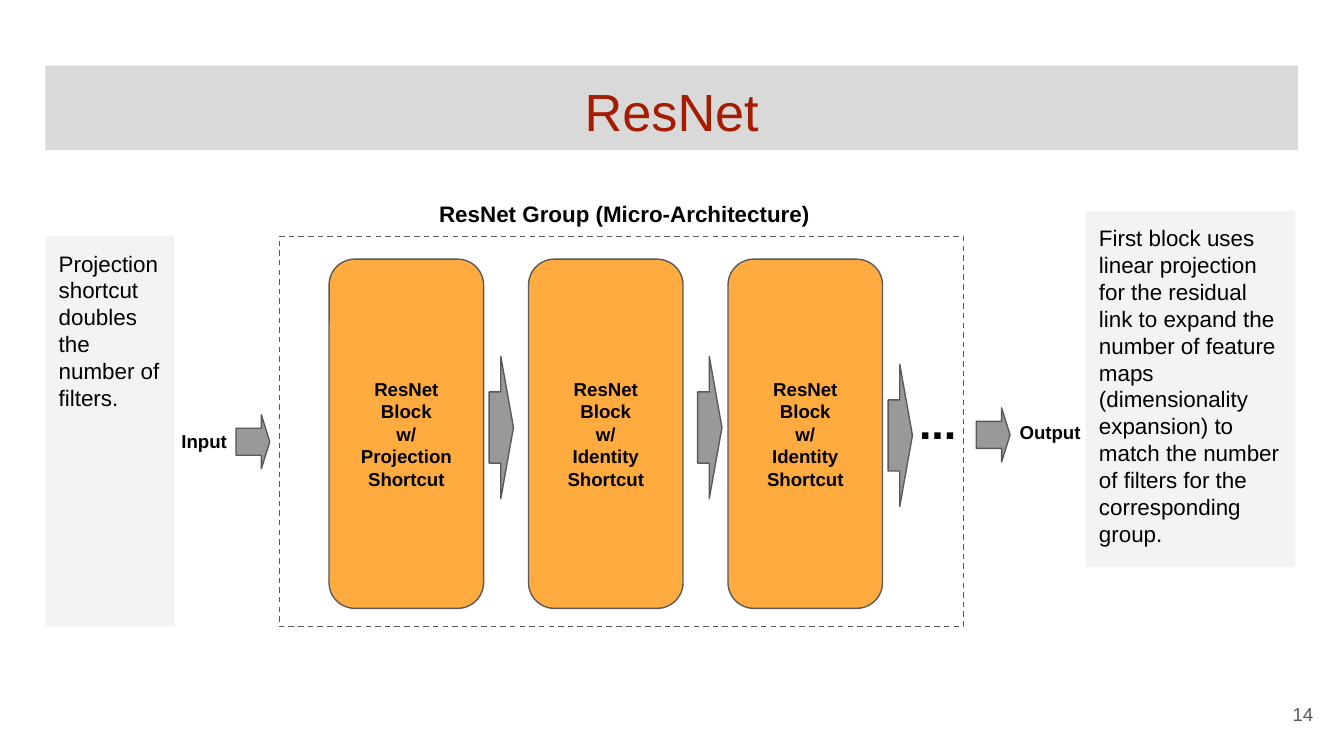
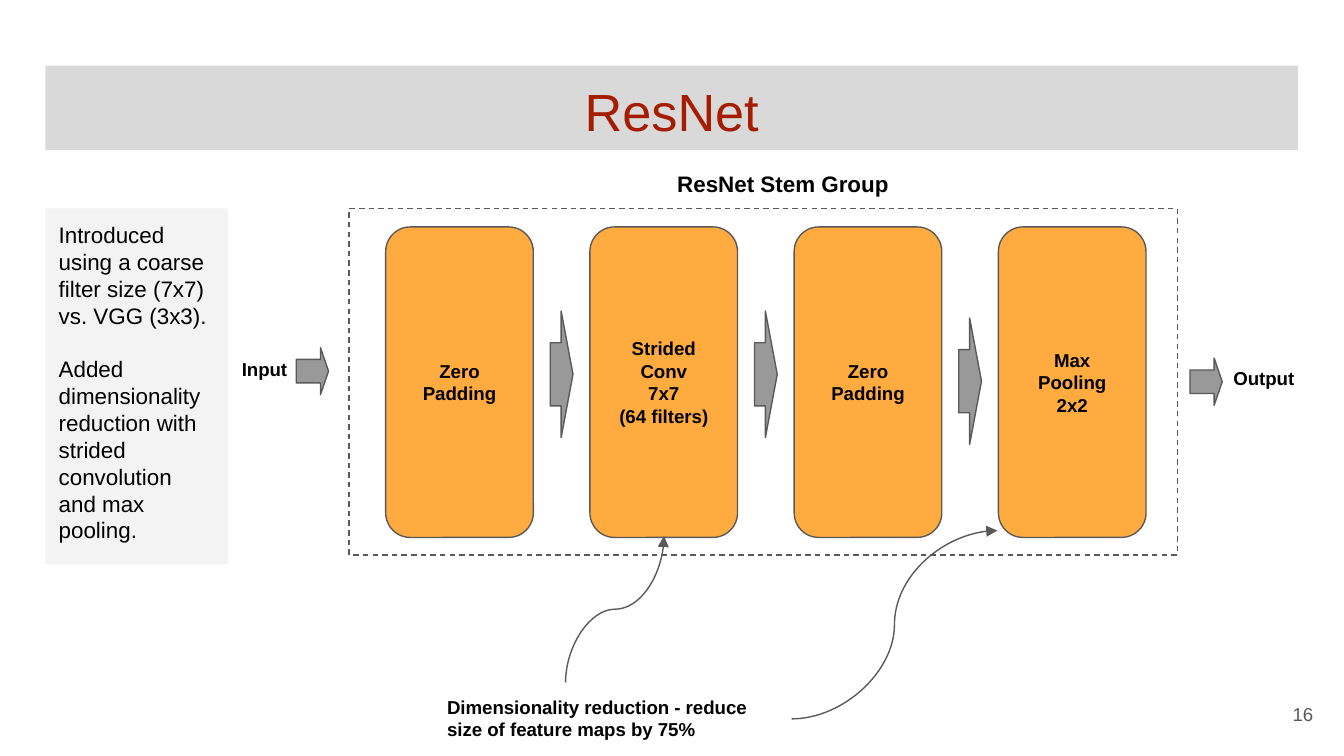
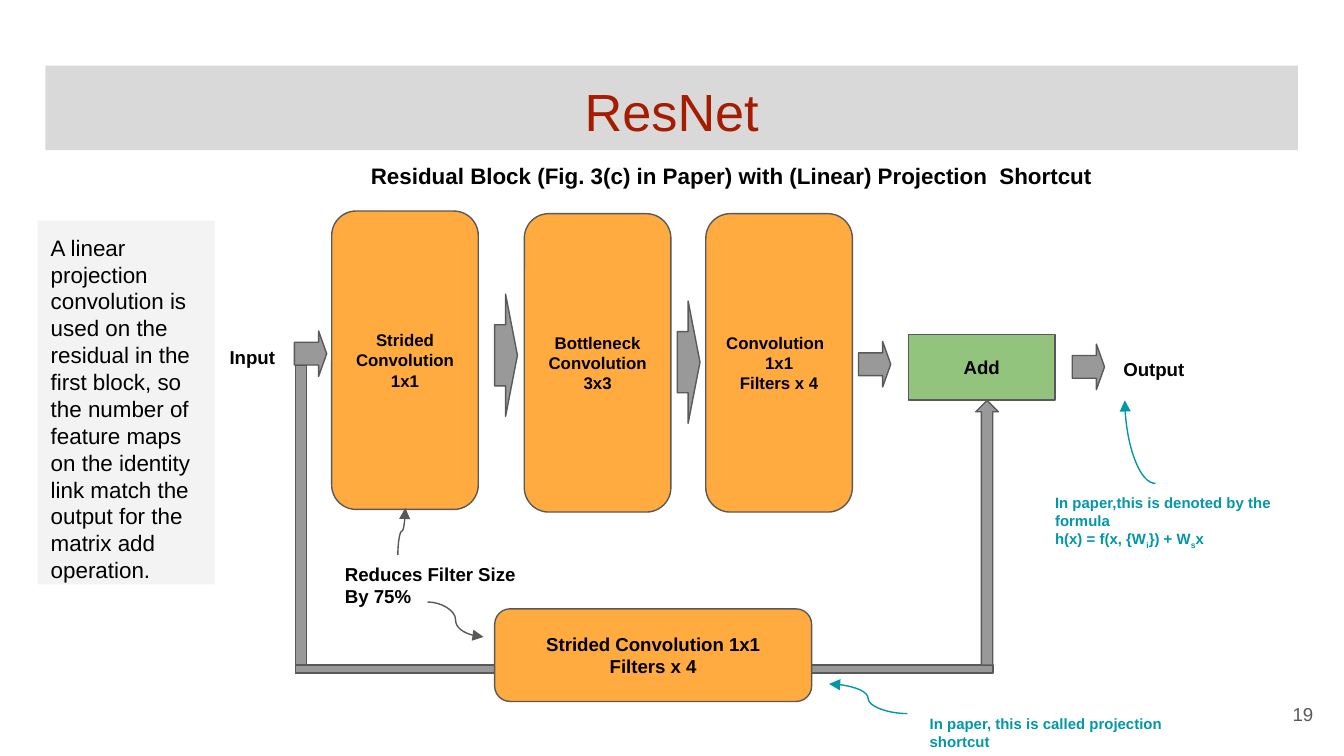
"""Build three slides that explain the ResNet architecture."""
from dataclasses import dataclass

from lxml import etree
from pptx import Presentation
from pptx import util as u
from pptx.dml import color as c
from pptx.enum import dml as d, shapes as s, text as t
from pptx.oxml import ns


@dataclass(frozen=True)
class Theme:
    font: str = "Arial"
    black: str = "000000"
    title: str = "A61C00"
    band: str = "D9D9D9"
    panel: str = "F3F3F3"
    outline: str = "595959"
    block: str = "FFAB40"
    arrow: str = "999999"
    add: str = "93C47D"
    remark: str = "0097A7"
    title_size: int = 28
    dots_size: int = 24
    body_size: int = 12
    label_size: int = 10
    tight_size: int = 9
    remark_size: int = 8


theme = Theme()
SHAPE, ALIGN, ANCHOR = s.MSO_SHAPE, t.PP_ALIGN, t.MSO_ANCHOR


def add_box(page, text, left, top, width, height, *, kind=None, fill=None, line=None,
            dash=False, size=theme.body_size, ink=theme.black, bold=False,
            align=ALIGN.LEFT, anchor=ANCHOR.TOP, gap=0, turn=0, adjust=()):
    place = [u.Cm(value) for value in (left, top, width, height)]
    box = page.shapes.add_shape(kind, *place) if kind else page.shapes.add_textbox(*place)
    box.shadow.inherit = False
    box.rotation = turn
    for index, value in enumerate(adjust):
        box.adjustments[index] = value
    if fill:
        box.fill.solid()
        box.fill.fore_color.rgb = c.RGBColor.from_string(fill)
    else:
        box.fill.background()
    if line:
        box.line.color.rgb = c.RGBColor.from_string(line)
        box.line.width = u.Pt(0.75)
        if dash:
            box.line.dash_style = d.MSO_LINE.DASH
    else:
        box.line.fill.background()
    if not text:
        return box
    frame = box.text_frame
    frame.word_wrap = True
    frame.vertical_anchor = anchor
    frame.margin_left = frame.margin_right = frame.margin_top = frame.margin_bottom = u.Cm(0.25)
    for row, words in enumerate(text.split("\n")):
        para = frame.add_paragraph() if row else frame.paragraphs[0]
        para.alignment = align
        if row and gap:
            para.space_before = u.Pt(gap)
        for index, piece in enumerate(words.split("|")):
            span = para.add_run()
            span.text = piece
            span.font.name, span.font.size, span.font.bold = theme.font, u.Pt(size), bold
            span.font.color.rgb = c.RGBColor.from_string(ink)
            if index % 2:
                span._r.get_or_add_rPr().set("baseline", "-25000")
    return box


def add_curve(page, x1, y1, x2, y2, *, ink=theme.outline, upright=False, quarter=False):
    ends = (x1, y1, x2, y2)
    if upright:
        mid_x, mid_y = (x1 + x2) / 2, (y1 + y2) / 2
        half_x, half_y = (x2 - x1) / 2, (y2 - y1) / 2
        ends = (mid_x + half_y, mid_y - half_x, mid_x - half_y, mid_y + half_x)
    curve = page.shapes.add_connector(s.MSO_CONNECTOR.CURVE, *[u.Cm(end) for end in ends])
    curve.line.color.rgb = c.RGBColor.from_string(ink)
    curve.line.width = u.Pt(0.75)
    etree.SubElement(curve.line._get_or_add_ln(), ns.qn("a:tailEnd"), type="triangle")
    outline = curve._element.spPr
    etree.SubElement(outline, ns.qn("a:effectLst"))
    if upright:
        outline.find(ns.qn("a:xfrm")).set("rot", "16200000")
    if quarter:
        outline.find(ns.qn("a:prstGeom")).set("prst", "curvedConnector2")


centred = dict(align=ALIGN.CENTER, anchor=ANCHOR.MIDDLE, bold=True, line=theme.outline)
block = dict(centred, kind=SHAPE.ROUNDED_RECTANGLE, fill=theme.block, size=theme.label_size)
pipe = dict(fill=theme.arrow, line=theme.outline)
wide_arrow = dict(pipe, kind=SHAPE.DOWN_ARROW, turn=270, adjust=(0.5, 0.52))
small_arrow = dict(wide_arrow, adjust=(0.5, 0.25))
group = dict(kind=SHAPE.RECTANGLE, line=theme.outline, dash=True)
panel = dict(kind=SHAPE.RECTANGLE, fill=theme.panel)
heading = dict(bold=True)
label = dict(bold=True, size=theme.label_size)
remark = dict(bold=True, size=theme.remark_size, ink=theme.remark)

deck = Presentation()
deck.slide_width, deck.slide_height = u.Cm(25.4), u.Cm(14.29)
pages = []
for number in ("14", "16", "19"):
    page = deck.slides.add_slide(deck.slide_layouts[6])
    add_box(page, "ResNet", 0.86, 1.24, 23.67, 1.6, kind=SHAPE.RECTANGLE, fill=theme.band,
            size=theme.title_size, ink=theme.title, align=ALIGN.CENTER)
    add_box(page, number, 23.55, 12.95, 1.52, 1.09, size=theme.label_size, ink=theme.outline,
            align=ALIGN.RIGHT, anchor=ANCHOR.MIDDLE)
    pages.append(page)
group_page, stem_page, block_page = pages

add_box(group_page, "First block uses linear projection for the residual link to expand the "
        "number of feature maps (dimensionality expansion) to match the number of filters "
        "for the corresponding group.", 20.52, 3.99, 3.96, 6.73, **panel)
add_box(group_page, "Projection shortcut doubles the number of filters.",
        0.86, 4.47, 2.44, 7.37, **panel)
add_box(group_page, "ResNet Group (Micro-Architecture)", 8.05, 3.53, 11.28, 1.09, **heading)
add_box(group_page, "", 5.28, 4.47, 12.93, 7.37, **group)
for index, shortcut in enumerate(("Projection", "Identity", "Identity")):
    add_box(group_page, f"ResNet\nBlock\nw/\n{shortcut}\nShortcut",
            6.22 + 3.77 * index, 4.9, 2.92, 6.6, **block)
for left, top in ((8.13, 7.85), (12.07, 7.85), (15.67, 8)):
    add_box(group_page, "", left, top, 2.69, 0.46, **wide_arrow)
add_box(group_page, "...", 17.12, 7.21, 1.55, 1.37, bold=True, size=theme.dots_size)
for left, top in ((4.27, 8.03), (18.26, 7.9)):
    add_box(group_page, "", left, top, 1.02, 0.64, **small_arrow)
add_box(group_page, "Input", 3.18, 7.92, 1.55, 0.81, **label)
add_box(group_page, "Output", 19.02, 7.75, 1.75, 0.81, **label)

add_box(stem_page, "Introduced using a coarse filter size (7x7) vs. VGG (3x3).\nAdded "
        "dimensionality reduction with strided convolution and max pooling.",
        0.86, 3.94, 3.45, 6.73, gap=14, **panel)
add_box(stem_page, "ResNet Stem Group", 12.55, 2.97, 5.66, 0.97, **heading)
add_box(stem_page, "", 6.6, 3.94, 15.65, 6.55, **group)
stem_layers = ("Zero\nPadding", "Strided\nConv\n7x7\n(64 filters)", "Zero\nPadding",
               "Max\nPooling\n2x2")
for index, layer in enumerate(stem_layers):
    add_box(stem_page, layer, 7.29 + 3.86 * index, 4.29, 2.79, 5.87, **block)
for index, top in enumerate((6.86, 6.86, 6.99)):
    add_box(stem_page, "", 9.42 + 3.86 * index, top, 2.39, 0.43, **wide_arrow)
for left, top in ((5.46, 6.71), (22.35, 6.91)):
    add_box(stem_page, "", left, top, 0.89, 0.61, **small_arrow)
add_box(stem_page, "Input", 4.32, 6.55, 1.47, 0.71, **label)
add_box(stem_page, "Output", 23.06, 6.73, 1.7, 0.71, **label)
add_box(stem_page, "Dimensionality reduction - reduce size of feature maps by 75%",
        8.2, 12.9, 6.27, 1.37, **label)
add_curve(stem_page, 10.69, 12.9, 12.55, 10.13, upright=True)
add_curve(stem_page, 14.96, 13.59, 18.85, 10.03)

add_box(block_page, "A linear projection convolution is used on the residual in the first "
        "block, so the number of feature maps on the identity link match the output for the "
        "matrix add operation.", 0.71, 4.17, 3.35, 6.88, **panel)
add_box(block_page, "Residual Block (Fig. 3(c) in Paper) with (Linear) Projection  Shortcut",
        6.76, 2.82, 14.5, 0.94, **heading)
tight_block = dict(block, size=theme.tight_size)
for layer, left, top in (("Strided\nConvolution\n1x1", 6.27, 3.99),
                         ("Bottleneck\nConvolution\n3x3", 9.91, 4.04),
                         ("Convolution\n1x1\nFilters x 4", 13.34, 4.04)):
    box = add_box(block_page, layer, left, top, 2.77, 5.64, **tight_block)
box.text_frame.paragraphs[0].alignment = ALIGN.LEFT
for left, top in ((8.41, 6.5), (11.86, 6.63)):
    add_box(block_page, "", left, top, 2.31, 0.43, **wide_arrow)
for left, top in ((5.44, 6.38), (16.1, 6.58), (20.14, 6.63)):
    add_box(block_page, "", left, top, 0.86, 0.61, **small_arrow)
add_box(block_page, "Input", 4.09, 6.32, 1.47, 0.69, **label)
add_box(block_page, "Output", 20.98, 6.55, 1.7, 0.69, **label)
add_box(block_page, "Add", 17.17, 6.32, 2.77, 1.24, kind=SHAPE.RECTANGLE, fill=theme.add,
        size=theme.label_size, **centred)
add_box(block_page, "", 5.59, 6.91, 0.2, 5.82, kind=SHAPE.RECTANGLE, **pipe)
add_box(block_page, "", 5.59, 12.57, 13.18, 0.15, kind=SHAPE.RECTANGLE, **pipe)
add_box(block_page, "", 18.44, 7.57, 0.43, 5, kind=SHAPE.UP_ARROW, **pipe)
add_box(block_page, "Strided Convolution 1x1\nFilters x 4", 9.35, 11.51, 5.99, 1.75, **block)
add_box(block_page, "Reduces Filter Size\nBy 75%", 6.27, 10.39, 3.73, 1.75, **label)
add_box(block_page, "In paper, this is called projection shortcut",
        17.32, 13.26, 5.13, 0.69, **remark)
add_box(block_page, "In paper,this is denoted by the formula\nh(x) = f(x, {W|i|}) + W|s|x",
        19.69, 9.09, 5.44, 1.24, **remark)
add_curve(block_page, 7.52, 10.49, 7.66, 9.6, upright=True)
add_curve(block_page, 8.08, 11.38, 9.14, 12.04)
add_curve(block_page, 17.15, 13.49, 15.67, 12.93, ink=theme.remark)
add_curve(block_page, 21.84, 9.14, 21.26, 7.57, ink=theme.remark, quarter=True)

deck.save("out.pptx")
